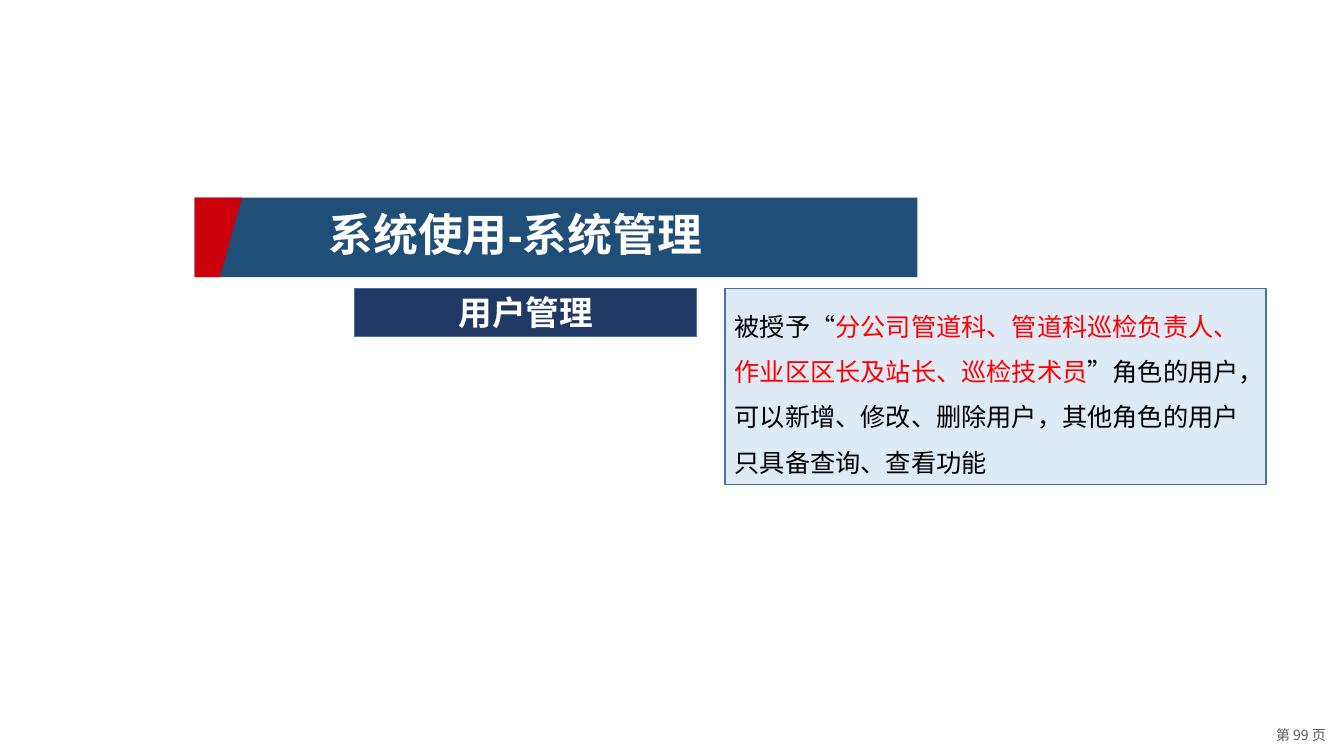
"""Builds the user management slide of a system administration guide."""
from dataclasses import dataclass
from typing import Optional

from pptx import Presentation
from pptx import util as u
from pptx.dml.color import RGBColor
from pptx.enum import lang, shapes, text

SLIDE_WIDTH, SLIDE_HEIGHT = u.Inches(13.333), u.Inches(7.5)
WHITE, BLACK, RED = "FFFFFF", "000000", "FF0000"
EDGE = "43739E"


@dataclass
class Area:
    """A rectangle in percent of the slide's width and height."""
    left: float
    top: float
    width: float
    height: float

    def emu(self) -> tuple[int, int, int, int]:
        return (across(self.left), down(self.top),
                across(self.width), down(self.height))


@dataclass
class Wording:
    """One paragraph as (words, colour) pieces with a shared style."""
    pieces: list[tuple[str, str]]
    size: float
    bold: bool = False
    font: str = "Arial"
    align: text.PP_ALIGN = text.PP_ALIGN.LEFT
    anchor: text.MSO_ANCHOR = text.MSO_ANCHOR.MIDDLE
    spacing: float = 1.0
    wrap: bool = True


@dataclass
class Panel:
    """A rectangle or, without a fill, a text box."""
    area: Area
    fill: Optional[str] = None
    edge: Optional[str] = None
    wording: Optional[Wording] = None


def across(percent: float) -> int:
    return round(SLIDE_WIDTH * percent / 100)


def down(percent: float) -> int:
    return round(SLIDE_HEIGHT * percent / 100)


def colour(hex_code: str) -> RGBColor:
    return RGBColor.from_string(hex_code)


def paint(shape, fill: str, edge: Optional[str] = None) -> None:
    shape.shadow.inherit = False
    shape.fill.solid()
    shape.fill.fore_color.rgb = colour(fill)
    if edge:
        shape.line.color.rgb = colour(edge)
        shape.line.width = u.Pt(1)
    else:
        shape.line.fill.background()


def write(frame, wording: Wording) -> None:
    frame.word_wrap = wording.wrap
    frame.vertical_anchor = wording.anchor
    paragraph = frame.paragraphs[0]
    paragraph.alignment = wording.align
    paragraph.line_spacing = wording.spacing
    paragraph.font.name = wording.font
    paragraph.font.size = u.Pt(wording.size)
    paragraph.font.bold = wording.bold
    for words, ink in wording.pieces:
        run = paragraph.add_run()
        run.text = words
        run.font.color.rgb = colour(ink)
        run.font.language_id = lang.MSO_LANGUAGE_ID.SIMPLIFIED_CHINESE


def draw_panel(slide, panel: Panel) -> None:
    if panel.fill:
        shape = slide.shapes.add_shape(shapes.MSO_SHAPE.RECTANGLE, *panel.area.emu())
        paint(shape, panel.fill, panel.edge)
    else:
        shape = slide.shapes.add_textbox(*panel.area.emu())
    if panel.wording:
        write(shape.text_frame, panel.wording)


def draw_accent(slide, area: Area, foot_width: float, fill: str) -> None:
    left, top, width, height = area.emu()
    outline = slide.shapes.build_freeform(left, top)
    outline.add_line_segments([(left + width, top),
                               (left + across(foot_width), top + height),
                               (left, top + height)])
    paint(outline.convert_to_shape(), fill)


BANNER = Panel(Area(14.48, 26.13, 53.78, 10.53), "1F4E79")
ACCENT = Area(BANNER.area.left, BANNER.area.top, 3.53, BANNER.area.height)
CONTENT_TOP = 38.13

PANELS = [
    Panel(Area(23.7, 26.67, 44.48, 8.53),
          wording=Wording([("系统使用-系统管理", WHITE)], 32, bold=True)),
    Panel(Area(53.93, CONTENT_TOP, 40.28, 26), "DEEBF7", EDGE,
          Wording([("被授予“", BLACK),
                   ("分公司管道科、管道科巡检负责人、作业区区长及站长、巡检技术员", RED),
                   ("”角色的用户，可以新增、修改、删除用户，其他角色的用户只具备查询、查看功能", BLACK)],
                  18, spacing=1.5)),
    Panel(Area(26.4, CONTENT_TOP, 25.43, 6.4), "203864", EDGE,
          Wording([("用户管理", WHITE)], 24, bold=True, align=text.PP_ALIGN.CENTER)),
    Panel(Area(93.6, 95.47, 6.4, 3.6),
          wording=Wording([("第 99 页", "595959")], 10, font="Noto Sans CJK SC",
                          align=text.PP_ALIGN.CENTER, anchor=text.MSO_ANCHOR.TOP,
                          wrap=False)),
]


def main() -> None:
    deck = Presentation()
    deck.slide_width, deck.slide_height = SLIDE_WIDTH, SLIDE_HEIGHT
    slide = deck.slides.add_slide(deck.slide_layouts[6])
    draw_panel(slide, BANNER)
    draw_accent(slide, ACCENT, 1.88, "CD010C")
    for panel in PANELS:
        draw_panel(slide, panel)
    deck.save("out.pptx")


if __name__ == "__main__":
    main()
